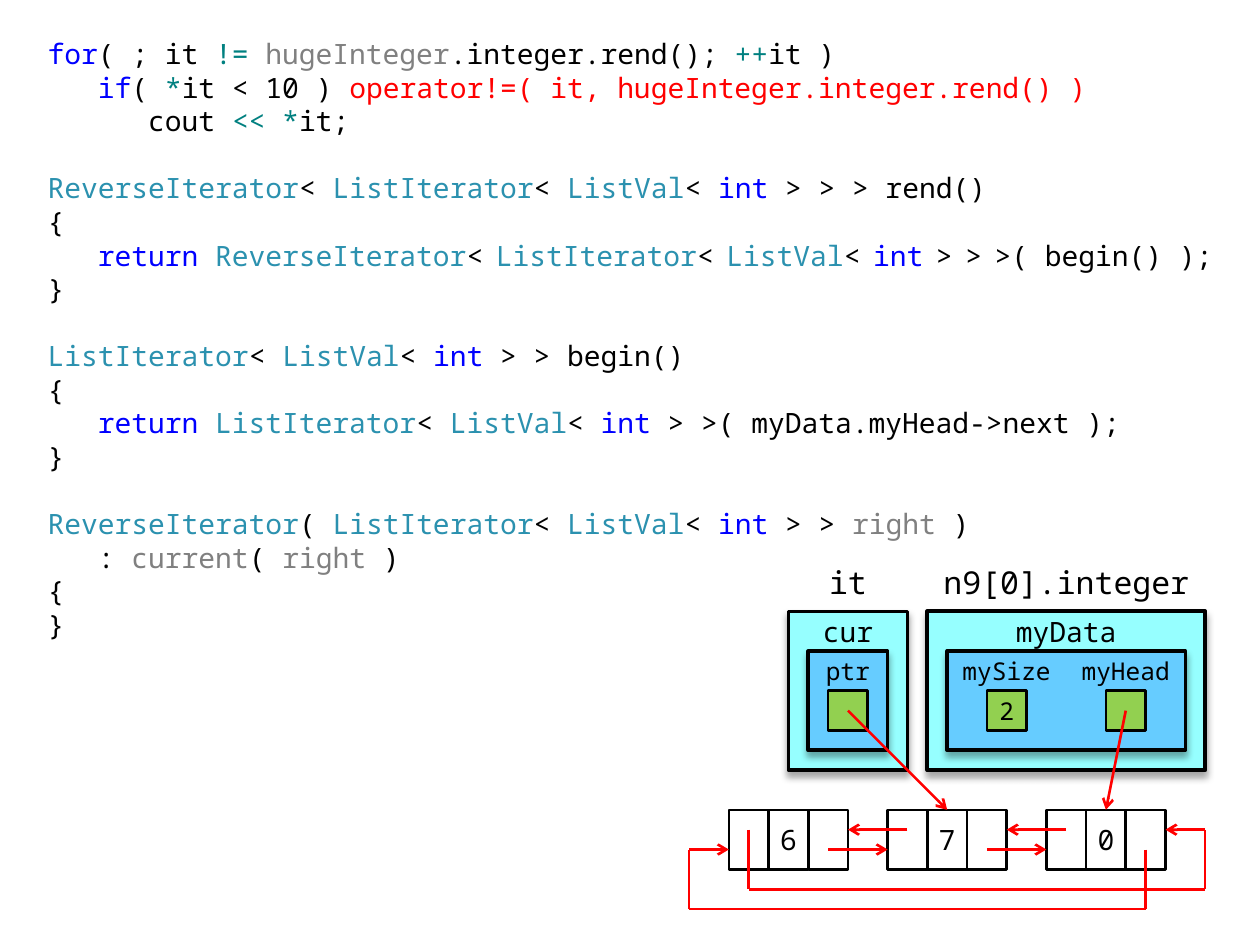
import pptx
import pptx.util
import pptx.dml.color
import pptx.enum.shapes
import pptx.enum.text
import pptx.oxml
import pptx.oxml.ns
from pptx.util import Inches

FONT = "Noto Sans Mono"
BLACK, RED, AQUA, SKY, GREEN = "000000", "FF0000", "96FFFF", "66CCFF", "92D050"
UNIT = 0.63 / 4

TOKEN_COLORS = {
    token: color
    for color, tokens in {
        "0000FF": ["for", "if", "int", "return "],
        "008080": ["!= ", "++", "*", "<< *"],
        "808080": ["hugeInteger", "right", "current"],
        "2B91AF": ["ReverseIterator", "ListIterator", "ListVal"],
        RED: ["operator!=( it, hugeInteger.integer.rend() )"],
    }.items()
    for token in tokens
}

CODE = """for|( ; it |!= |hugeInteger|.integer.rend(); |++|it )
   |if|( |*|it < 10 ) |operator!=( it, hugeInteger.integer.rend() )
      cout |<< *|it;

ReverseIterator|< |ListIterator|< |ListVal|< |int| > > > rend()
{
   |return |ReverseIterator|<| |ListIterator|<| |ListVal|<| |int| |>| |>| |>( begin() );
}

ListIterator|< |ListVal|< |int| > > begin()
{
   |return |ListIterator|< |ListVal|< |int| > >( myData.myHead->next );
}

ReverseIterator|( |ListIterator|< |ListVal|< |int| > > |right| )
   : |current|( |right| )
{
}"""


def rgb(color):
    return pptx.dml.color.RGBColor.from_string(color)


def set_attributes(target, values):
    for name, value in values.items():
        setattr(target, name, value)


def add_effects(shape, content=""):
    namespace = pptx.oxml.ns.nsdecls("a")
    effects = pptx.oxml.parse_xml(f"<a:effectLst {namespace}>{content}</a:effectLst>")
    shape._element.spPr.append(effects)


def add_run(paragraph, text, size, color=BLACK):
    run = paragraph.add_run()
    run.text = text
    set_attributes(run.font, {"name": FONT, "size": pptx.util.Pt(size)})
    run.font.color.rgb = rgb(color)


def grid_box(origin, cells):
    left, top = origin
    column, row, width, height = cells
    return [Inches(value) for value in (
        left + column * UNIT, top + row * UNIT, width * UNIT, height * UNIT)]


def add_label(slide, origin, cells, text, size):
    frame = slide.shapes.add_textbox(*grid_box(origin, cells)).text_frame
    set_attributes(frame, {
        "word_wrap": False,
        "vertical_anchor": pptx.enum.text.MSO_ANCHOR.MIDDLE,
        "margin_left": 0, "margin_right": 0,
        "margin_top": Inches(0.05), "margin_bottom": Inches(0.05),
    })
    paragraph = frame.paragraphs[0]
    paragraph.alignment = pptx.enum.text.PP_ALIGN.CENTER
    add_run(paragraph, text, size)


def add_cell(slide, origin, cells, fill=None, text="", size=16, weight=1.5, raised=False):
    kinds = pptx.enum.shapes.MSO_SHAPE
    kind = kinds.FLOWCHART_PROCESS if raised else kinds.RECTANGLE
    shape = slide.shapes.add_shape(kind, *grid_box(origin, cells))
    if fill:
        shape.fill.solid()
        shape.fill.fore_color.rgb = rgb(fill)
    else:
        shape.fill.background()
    shape.line.color.rgb = rgb(BLACK)
    shape.line.width = pptx.util.Pt(weight)
    if raised:
        add_effects(shape, '<a:outerShdw blurRad="50800" dist="38100" dir="5400000" rotWithShape="0">'
                           '<a:srgbClr val="000000"><a:alpha val="35000"/></a:srgbClr></a:outerShdw>')
    else:
        shape.shadow.inherit = False
    if text:
        add_label(slide, origin, cells, text, size)


def add_path(slide, origin, *points):
    left, top = origin
    for index, (start, end) in enumerate(zip(points, points[1:]), 2):
        ends = [Inches(base + step * UNIT)
                for point in (start, end) for base, step in zip((left, top), point)]
        connector = slide.shapes.add_connector(pptx.enum.shapes.MSO_CONNECTOR.STRAIGHT, *ends)
        connector.line.color.rgb = rgb(RED)
        connector.line.width = pptx.util.Pt(1.5)
        if index == len(points):
            line = connector.line._get_or_add_ln()
            line.append(pptx.oxml.parse_xml(
                f'<a:tailEnd {pptx.oxml.ns.nsdecls("a")} type="arrow"/>'))
        add_effects(connector)


def add_code(slide, left, top, width, height):
    box = slide.shapes.add_textbox(Inches(left), Inches(top), Inches(width), Inches(height))
    frame = box.text_frame
    set_attributes(frame, {"word_wrap": True, "margin_top": 0})
    for index, line in enumerate(CODE.split("\n")):
        paragraph = frame.add_paragraph() if index else frame.paragraphs[0]
        paragraph.line_spacing = pptx.util.Pt(19.2)
        paragraph.font.size = pptx.util.Pt(16)
        for token in filter(None, line.split("|")):
            add_run(paragraph, token, 12 if token == " " else 16,
                    TOKEN_COLORS.get(token, BLACK))


def add_linked_list(slide, origin, values):
    for node, value in enumerate(values):
        first = 2 + 8 * node
        for part, text in enumerate(("", value, "")):
            add_cell(slide, origin, (first + 2 * part, 0, 2, 3), text=text)
        if node:
            add_path(slide, origin, (first + 1, 1), (first - 2, 1))
            add_path(slide, origin, (first - 3, 2), (first, 2))
    add_path(slide, origin, (23, 2), (23, 5), (0, 5), (0, 2), (2, 2))
    add_path(slide, origin, (3, 1), (3, 4), (26, 4), (26, 1), (24, 1))


def add_object(slide, origin, width, title, member, fields, weight):
    add_label(slide, origin, (0, 0, width, 3), title, 18)
    add_cell(slide, origin, (0, 3, width, 8), AQUA, weight=weight, raised=True)
    add_label(slide, origin, (0, 3, width, 2), member, 16)
    add_cell(slide, origin, (1, 5, width - 2, 5), SKY, weight=2, raised=True)
    step = (width - 2) / len(fields)
    for index, (name, value) in enumerate(fields):
        column = 1 + index * step
        add_label(slide, origin, (column, 5, step, 2), name, 14)
        add_cell(slide, origin, (column + step / 2 - 1, 7, 2, 2), GREEN, value, 14)


def main():
    presentation = pptx.Presentation()
    set_attributes(presentation, {"slide_width": Inches(10), "slide_height": Inches(7.5)})
    slide = presentation.slides.add_slide(presentation.slide_layouts[6])
    left, top = 5.47, 4.38
    add_code(slide, 0.28, 0.29, 9.45, 4.88)
    add_linked_list(slide, (left, top + 13 * UNIT), "670")
    add_object(slide, (left + 5 * UNIT, top), 6, "it", "cur", [("ptr", "")], 2)
    add_object(slide, (left + 12 * UNIT, top), 14, "n9[0].integer", "myData",
               [("mySize", "2"), ("myHead", "")], 2.25)
    add_path(slide, (left, top), (22, 8), (21, 13))
    add_path(slide, (left, top), (8, 8), (13, 13))
    presentation.save("out.pptx")


if __name__ == "__main__":
    main()
